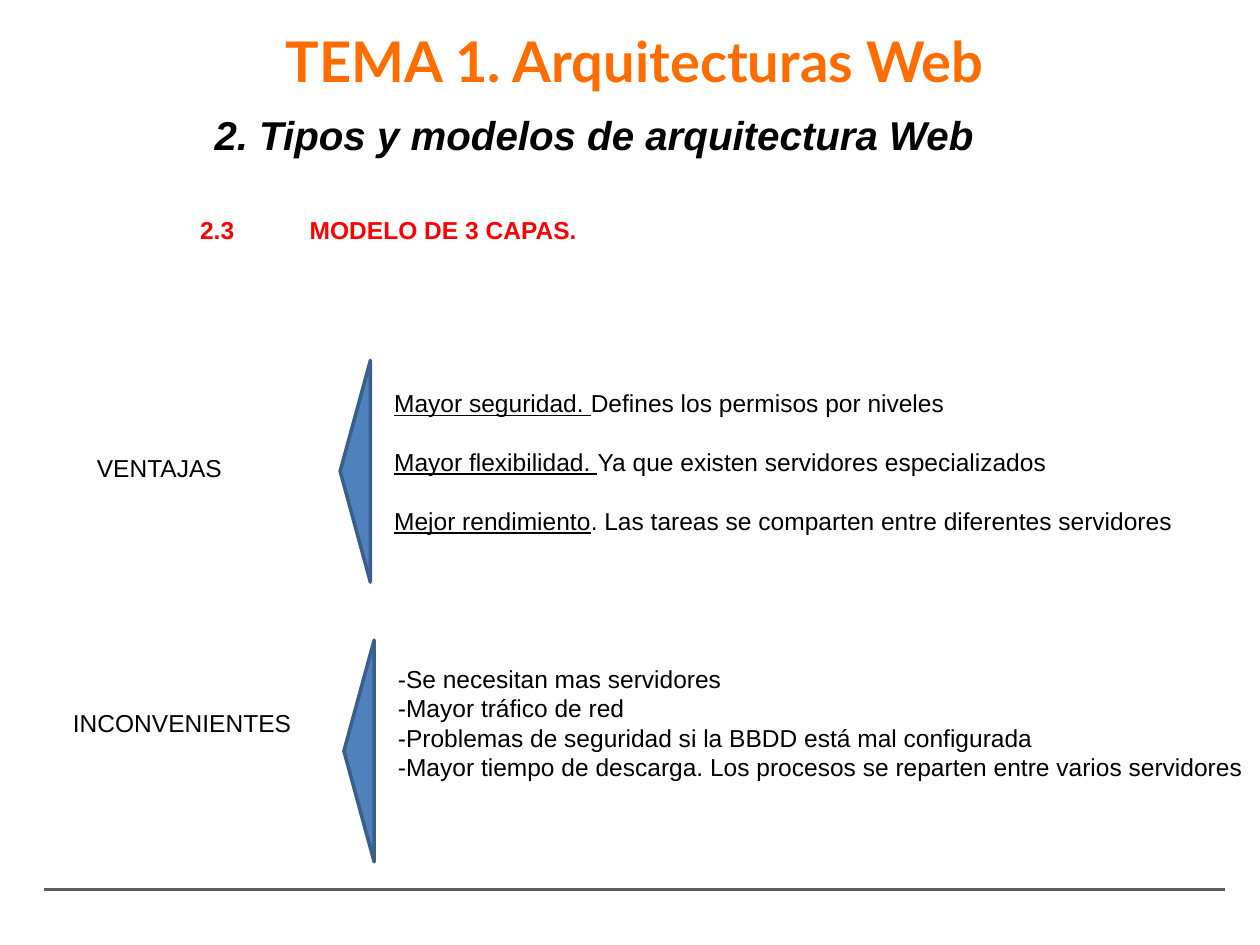
import dataclasses
import pptx
import pptx.dml.color
import pptx.enum.shapes
import pptx.enum.text
import pptx.oxml.ns
import pptx.util
import lxml.etree

Inches = pptx.util.Inches
Pt = pptx.util.Pt
Align = pptx.enum.text.PP_ALIGN
Anchor = pptx.enum.text.MSO_ANCHOR


@dataclasses.dataclass(frozen=True)
class Theme:
    face: str = "Arial"
    display: str = "Lato"
    ink: str = "000000"
    orange: str = "FF6C00"
    red: str = "FF0000"
    blue: str = "4F81BD"
    edge: str = "3A5F8C"
    grey: str = "5E5E5E"
    title: int = 32
    head: int = 23
    body: int = 14
    line: int = 2


theme = Theme()


def tint(code):
    return pptx.dml.color.RGBColor.from_string(code)


def write(slide, box, lines, size=theme.body, color=theme.ink, face=theme.face,
          bold=False, italic=False, align=Align.LEFT, gap=0, wrap=True):
    frame = slide.shapes.add_textbox(*map(Inches, box)).text_frame
    frame.word_wrap = wrap
    for row, (lead, rest) in enumerate(lines):
        para = frame.add_paragraph() if row else frame.paragraphs[0]
        para.alignment = align
        if row and gap:
            para.space_before = Pt(gap)
        if lead:
            run = para.add_run()
            run.text = lead
            run.font.underline = True
        para.add_run().text = rest
        font = para.font
        font.name, font.size = face, Pt(size)
        font.bold, font.italic = bold, italic
        font.color.rgb = tint(color)
    return frame


def header(slide, x, y, w):
    write(slide, (x, y + 0.49, w, 0.47),
          [("", "2. Tipos y modelos de arquitectura Web")],
          theme.head, bold=True, italic=True, align=Align.CENTER)
    frame = write(slide, (x + 1.09, y, 7.68, 0.44),
                  [("", "TEMA 1. Arquitecturas Web")], theme.title,
                  theme.orange, theme.display, bold=True, align=Align.CENTER)
    frame.vertical_anchor = Anchor.MIDDLE
    frame.margin_left = frame.margin_right = Inches(0.06)
    frame.margin_top = frame.margin_bottom = Inches(0.06)
    frame.paragraphs[0].line_spacing = 0.6


def section(slide, x, y, w):
    frame = write(slide, (x, y, w, 0.34),
                  [("", "2.3\tMODELO DE 3 CAPAS.")],
                  color=theme.red, bold=True)
    props = frame.paragraphs[0]._p.get_or_add_pPr()
    tabs = lxml.etree.Element(pptx.oxml.ns.qn("a:tabLst"))
    lxml.etree.SubElement(tabs, pptx.oxml.ns.qn("a:tab"),
                          pos=str(Inches(0.87)), algn="l")
    props.insert(0, tabs)


def panel(slide, x, y, name, label, lines, drop, gap=0, wrap=True):
    span, depth = 1.76, 0.24
    shape = slide.shapes.add_shape(
        pptx.enum.shapes.MSO_SHAPE.ISOSCELES_TRIANGLE,
        Inches(x + (depth - span) / 2), Inches(y + (span - depth) / 2),
        Inches(span), Inches(depth))
    shape.rotation = 270
    shape.shadow.inherit = False
    shape.fill.solid()
    shape.fill.fore_color.rgb = tint(theme.blue)
    shape.line.color.rgb = tint(theme.edge)
    shape.line.width = Pt(theme.line)
    left, top, width = label
    write(slide, (x + left, y + top, width, 0.34), [("", name)], wrap=wrap)
    write(slide, (x + 0.33, y + drop, 6.8 if wrap else 6.93, 1.28 if wrap else 1.04),
          lines, gap=gap, wrap=wrap)


def footer(slide, x, y, w):
    rule = slide.shapes.add_connector(
        pptx.enum.shapes.MSO_CONNECTOR.STRAIGHT,
        Inches(x), Inches(y), Inches(x + w), Inches(y))
    rule.line.color.rgb = tint(theme.grey)
    rule.line.width = Pt(theme.line)
    lxml.etree.SubElement(rule._element.spPr, pptx.oxml.ns.qn("a:effectLst"))


def main():
    deck = pptx.Presentation()
    deck.slide_width, deck.slide_height = Inches(10), Inches(7.5)
    slide = deck.slides.add_slide(deck.slide_layouts[6])
    footer(slide, 0.35, 7.06, 9.37)
    header(slide, 0.11, 0.34, 9.22)
    section(slide, 1.49, 1.66, 3.34)
    panel(slide, 2.7, 2.86, "VENTAJAS", (-2.03, 0.69, 1.82), [
        ("Mayor seguridad. ", "Defines los permisos por niveles"),
        ("Mayor flexibilidad. ", "Ya que existen servidores especializados"),
        ("Mejor rendimiento",
         ". Las tareas se comparten entre diferentes servidores"),
    ], 0.17, gap=16.8)
    panel(slide, 2.73, 5.08, "INCONVENIENTES", (-2.25, 0.49, 1.95), [
        ("", "-Se necesitan mas servidores"),
        ("", "-Mayor tráfico de red"),
        ("", "-Problemas de seguridad si la BBDD está mal configurada"),
        ("", "-Mayor tiempo de descarga. "
             "Los procesos se reparten entre varios servidores"),
    ], 0.14, wrap=False)
    deck.save("out.pptx")


if __name__ == "__main__":
    main()
